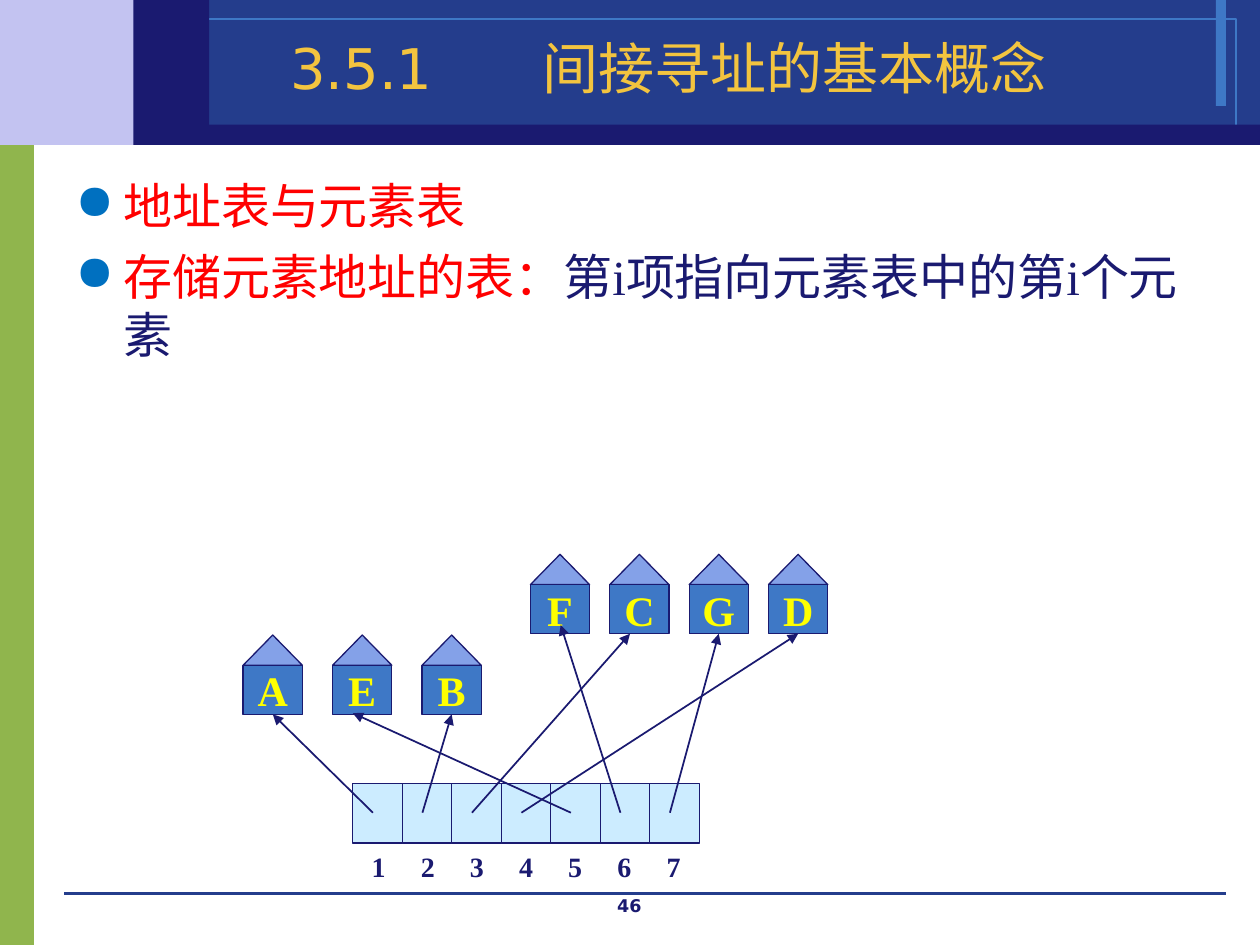
from dataclasses import dataclass

from lxml.etree import SubElement
from pptx import Presentation
from pptx.dml.color import RGBColor
from pptx.enum.shapes import MSO_CONNECTOR, MSO_SHAPE
from pptx.enum.text import MSO_ANCHOR, MSO_AUTO_SIZE, PP_ALIGN
from pptx.oxml.ns import qn
from pptx.slide import Slide
from pptx.util import Inches, Pt

WHITE = RGBColor(0xFF, 0xFF, 0xFF)
NAVY = RGBColor(0x1A, 0x1A, 0x70)
ROYAL = RGBColor(0x24, 0x3D, 0x8C)
BLUE = RGBColor(0x3E, 0x78, 0xC6)
ROOF = RGBColor(0x84, 0xA1, 0xE8)
LILAC = RGBColor(0xC3, 0xC3, 0xF1)
GREEN = RGBColor(0x90, 0xB5, 0x4D)
PALE = RGBColor(0xCC, 0xEC, 0xFF)
GOLD = RGBColor(0xF3, 0xC4, 0x3F)
RED = RGBColor(0xFF, 0x00, 0x00)
YELLOW = RGBColor(0xFF, 0xFF, 0x00)

BANDS = [
    (0, 1.07, 0.27, 6.43, GREEN),
    (0, 0, 1.53, 1.15, LILAC),
    (1.53, 0, 8.47, 1.15, ROYAL),
    (9.65, 0, 0.08, 0.84, BLUE),
]
FOOT_BANDS = [(1.3, 0.99, 8.7, 0.16, NAVY), (1.06, 0, 0.6, 1.15, NAVY)]
HOUSE_ROWS = [("AEB", 1.93, 5.04, 0.71), ("FCGD", 4.21, 4.4, 0.63)]
FREE_ENDS = {"C": (5, 5.03), "E": (2.8, 5.66), "F": (4.45, 4.96)}
TABLE_LEFT, TABLE_TOP, TABLE_WIDTH, CELL_HEIGHT = 2.8, 6.22, 2.75, 0.47
ORDER = "ABCDEFG"
STEP = TABLE_WIDTH / len(ORDER)


def write_text(para, text, *, size, font, color, bold=False):
    """Add one formatted span to a paragraph."""
    span = para.add_run()
    span.text = text
    span.font.size = Pt(size)
    span.font.name = font
    span.font.bold = bold
    span.font.color.rgb = color


def set_tabs(para, stops):
    """Give a paragraph left tab stops, measured in inches."""
    tab_list = SubElement(para._p.get_or_add_pPr(), qn("a:tabLst"))
    for stop in stops:
        SubElement(tab_list, qn("a:tab"), pos=str(Inches(stop)), algn="l")


@dataclass
class Painter:
    """Draw elements on the current slide in one shared style."""

    slide: Slide
    heading_font: str = "DejaVu Sans"
    text_font: str = "Times New Roman"
    edge: RGBColor = NAVY

    def shape(self, left, top, width, height, fill=None, line=None,
              weight=0.75, kind=MSO_SHAPE.RECTANGLE, owner=None):
        """Add a preset shape to the slide or to a group."""
        box = (owner or self.slide).shapes.add_shape(
            kind, Inches(left), Inches(top), Inches(width), Inches(height))
        box.shadow.inherit = False
        if fill is None:
            box.fill.background()
        else:
            box.fill.solid()
            box.fill.fore_color.rgb = fill
        if line is None:
            box.line.fill.background()
        else:
            box.line.color.rgb = line
            box.line.width = Pt(weight)
        return box

    def connector(self, start, end, color, weight, arrow=False):
        """Add a straight line, with an arrowhead at its end on request."""
        line = self.slide.shapes.add_connector(
            MSO_CONNECTOR.STRAIGHT, *map(Inches, start + end))
        line.line.color.rgb = color
        line.line.width = Pt(weight)
        if arrow:
            SubElement(line.line._get_or_add_ln(), qn("a:tailEnd"), type="triangle")
        SubElement(line._element.spPr, qn("a:effectLst"))
        return line

    def text_box(self, left, top, width, height):
        """Add a wrapping text frame."""
        box = self.slide.shapes.add_textbox(
            Inches(left), Inches(top), Inches(width), Inches(height))
        box.text_frame.word_wrap = True
        return box.text_frame

    def title(self, text):
        """Place the title in front of the header bands."""
        box = self.slide.shapes.title
        self.slide.shapes.element.append(box.element)
        box.left, box.top = Inches(1.19), Inches(0.26)
        box.width, box.height = Inches(8.23), Inches(0.62)
        frame = box.text_frame
        frame.word_wrap = True
        frame.auto_size = MSO_AUTO_SIZE.NONE
        frame.vertical_anchor = MSO_ANCHOR.MIDDLE
        para = frame.paragraphs[0]
        para.alignment = PP_ALIGN.CENTER
        para.line_spacing = 0.9
        set_tabs(para, [2])
        write_text(para, text, size=32, font=self.heading_font, color=GOLD)

    def bullet(self, para, spans):
        """Fill a bulleted paragraph with coloured spans."""
        properties = para._p.get_or_add_pPr()
        properties.set("marL", str(Inches(0.38)))
        properties.set("indent", str(Inches(-0.38)))
        bullet_color = SubElement(properties, qn("a:buClr"))
        SubElement(bullet_color, qn("a:srgbClr"), val="0070C0")
        SubElement(properties, qn("a:buChar"), char="●")
        for text, color in spans:
            write_text(para, text, size=28, font=self.text_font, color=color)

    def house(self, letter, left, top):
        """Group a roof with a lettered wall and return the wall."""
        group = self.slide.shapes.add_group_shape()
        self.shape(left, top, 0.47, 0.24, ROOF, self.edge,
                   kind=MSO_SHAPE.ISOSCELES_TRIANGLE, owner=group)
        wall = self.shape(left, top + 0.24, 0.47, 0.39, BLUE, self.edge, owner=group)
        frame = wall.text_frame
        frame.word_wrap = False
        frame.vertical_anchor = MSO_ANCHOR.MIDDLE
        frame.margin_top = frame.margin_bottom = 0
        para = frame.paragraphs[0]
        para.alignment = PP_ALIGN.CENTER
        write_text(para, letter, size=24, font=self.text_font, color=YELLOW, bold=True)
        return wall


def draw_page(painter):
    """Draw the header, the bullets and the address table diagram."""
    for band in BANDS:
        painter.shape(*band)
    painter.shape(1.19, 0.15, 8.62, 0.85, line=BLUE, weight=0)
    painter.connector((0.51, 7.09), (9.73, 7.09), ROYAL, 0)
    for band in FOOT_BANDS:
        painter.shape(*band)
    number = painter.text_box(3.83, 7.05, 2.33, 0.25).paragraphs[0]
    number.alignment = PP_ALIGN.CENTER
    write_text(number, "46", size=10, font=painter.heading_font, color=NAVY, bold=True)
    painter.title("3.5.1\t间接寻址的基本概念")

    body = painter.text_box(0.5, 1.34, 9, 5.74)
    painter.bullet(body.paragraphs[0], [("地址表与元素表", RED)])
    second = body.add_paragraph()
    second.space_before = Pt(7)
    painter.bullet(second, [("存储元素地址的表：", RED),
                            ("第i项指向元素表中的第i个元素", NAVY)])

    walls = {letter: painter.house(letter, left + index * gap, top)
             for letters, left, top, gap in HOUSE_ROWS
             for index, letter in enumerate(letters)}
    for index in range(len(ORDER)):
        painter.shape(TABLE_LEFT + index * STEP, TABLE_TOP, STEP, CELL_HEIGHT, PALE, NAVY)
    for index, letter in enumerate(ORDER):
        start = (TABLE_LEFT + 0.16 + index * STEP, 6.45)
        arrow = painter.connector(start, FREE_ENDS.get(letter, start), NAVY, 1, arrow=True)
        if letter not in FREE_ENDS:
            arrow.end_connect(walls[letter], 2)

    labels = painter.text_box(TABLE_LEFT, 6.69, 2.91, 0.37)
    labels.margin_left = Inches(0.15)
    para = labels.paragraphs[0]
    set_tabs(para, [0.39 * index for index in range(1, len(ORDER))])
    write_text(para, "\t".join(str(index + 1) for index in range(len(ORDER))),
               size=16, font=painter.text_font, color=NAVY, bold=True)


def main():
    """Build and save the deck."""
    deck = Presentation()
    deck.slide_width, deck.slide_height = Inches(10), Inches(7.5)
    page = deck.slides.add_slide(deck.slide_layouts[5])
    page.background.fill.solid()
    page.background.fill.fore_color.rgb = WHITE
    draw_page(Painter(page))
    deck.save("out.pptx")


if __name__ == "__main__":
    main()
